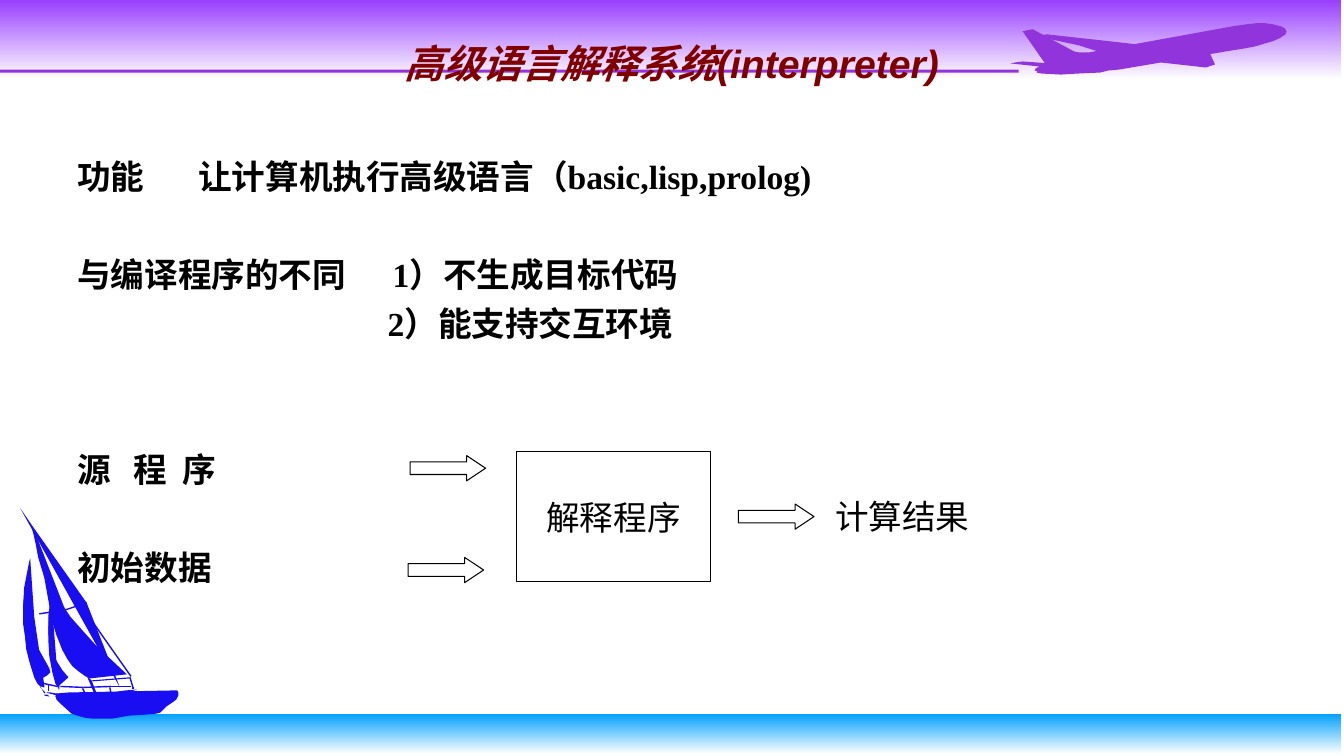
from itertools import pairwise

from lxml import etree
from pptx import Presentation
from pptx import util as u
from pptx.dml.color import RGBColor
from pptx.enum import shapes, text
from pptx.oxml.ns import qn

PURPLE, BLUE, BLACK, WHITE = "9234DB", "190EF2", "000000", "FFFFFF"

# Outlines are x,y pairs in hundredths of an inch from the drawing's corner.
PLANE = [
    "15,31 25,29 66,51 71,52 76,52 81,52 224,26 231,25 238,24 247,23 256,23 263,24 271,26 "
    "275,28 277,31 276,34 270,38 263,41 256,43 246,46 236,48 223,50 111,69 100,70 92,72 70,73 "
    "53,74 34,73 29,72 30,71 27,70 28,68 33,65 38,64",
    "152,62 197,67 206,64 201,53",
    "57,64 54,65 50,66 46,67 35,67 31,66 3,63 8,62 15,61",
    "147,46 39,34 29,36 71,45 96,53",
]
HULL = [
    "56,188 68,187 170,185 176,185 177,187 177,190 175,194 171,197 165,201 161,205 159,207 "
    "155,208 144,209 128,210 111,213 103,213 92,213 84,212 77,210 71,208 60,198 56,194 55,189",
    "97,203 91,202 74,202 66,200 59,196 55,191 57,189 65,188 87,187 111,187 124,185 136,184 "
    "119,190 110,193 96,194 83,196 69,192 68,195 75,199 87,201 99,202",
    "40,181 44,188 45,187 40,182",
    "47,189 49,191 44,190 44,189",
    "46,187 50,187 62,189 61,191 49,188",
]
SAILS = [
    "52,101 52,105 56,156 53,152 51,142 48,129 48,111 50,95",
    "94,189 86,170 91,175 96,188",
    "119,182 86,98 33,23 20,4",
    "65,104 59,97 54,88 47,73 38,51 34,33 32,25 34,26 64,103",
    "126,169 95,140 86,130 70,112 62,100 57,91 49,76 42,57 36,42 38,53 44,73 52,117 56,130 "
    "62,145 67,154 72,161 78,166 85,171 90,173",
    "68,172 62,165 57,157 53,150 51,141 49,131 48,113 48,135 49,151 52,167 55,178 58,183 59,180",
    "59,180 58,182 58,184 59,184",
    "30,54 29,57 24,83 23,101 25,132 26,144 30,159 34,172 37,178 40,181 44,182 44,180 34,112",
    "24,91 24,99 27,113 31,127 39,145 49,163 50,167 47,170 37,176 33,167 29,155 26,139 23,119 23,101",
    "91,175 128,172 130,173 92,176",
]
RIGGING = [
    "132,182 129,172", "130,171 80,100 33,26", "86,98 65,105 39,109", "109,182 110,187",
    "82,183 84,187", "48,180 48,186", "130,181 110,181 83,182 60,181", "57,181 43,178",
    "132,182 132,184",
]


def paint(color, *targets):
    for target in targets:
        target.solid()
        target.fore_color.rgb = RGBColor.from_string(color)


def write(frame, lines, size=24, font="Times New Roman", color=BLACK, bold=False, italic=False,
          align=text.PP_ALIGN.CENTER, anchor=text.MSO_ANCHOR.MIDDLE, wrap=True):
    """Each line is (wording, points before, tab stops in inches)."""
    frame.word_wrap = wrap
    frame.vertical_anchor = anchor
    for number, (wording, before, stops) in enumerate(lines):
        para = frame.add_paragraph() if number else frame.paragraphs[0]
        para.alignment = align
        para.space_before = u.Pt(before)
        if stops:
            tabs = etree.SubElement(para._p.get_or_add_pPr(), qn("a:tabLst"))
            for stop in stops:
                etree.SubElement(tabs, qn("a:tab"), pos=str(u.Inches(stop)), algn="l")
        span = para.add_run()
        span.text = wording
        span.font.size, span.font.name = u.Pt(size), font
        span.font.bold, span.font.italic = bold, italic
        span.font.color.rgb = RGBColor.from_string(color)


def add_text(page, box, lines, **style):
    write(page.shapes.add_textbox(*map(u.Inches, box)).text_frame, lines, **style)


def add_block(page, box, fill, line=None, kind=shapes.MSO_SHAPE.RECTANGLE):
    block = page.shapes.add_shape(kind, *map(u.Inches, box))
    block.shadow.inherit = False
    paint(fill, block.fill)
    if line:
        paint(line, block.line.fill)
        block.line.width = u.Pt(0.75)
    else:
        block.line.fill.background()
    return block


def add_fade(page, box, color):
    """Band that fades downwards to white."""
    band = add_block(page, box, color)
    band.fill.gradient()
    band.fill.gradient_angle = 270
    for stop, shade in zip(band.fill.gradient_stops, (color, WHITE)):
        stop.color.rgb = RGBColor.from_string(shade)


def points(outline):
    return [tuple(map(int, pair.split(","))) for pair in outline.split()]


def draw_outlines(page, left, top, outlines, color):
    for outline in outlines:
        start, *rest = points(outline)
        builder = page.shapes.build_freeform(*start, scale=u.Inches(0.01))
        builder.add_line_segments(rest, close=True)
        part = builder.convert_to_shape(u.Inches(left), u.Inches(top))
        part.shadow.inherit = False
        paint(color, part.fill)
        part.line.fill.background()


def draw_rigging(page, left, top):
    for rope in RIGGING:
        for ends in pairwise(points(rope)):
            (x1, y1), (x2, y2) = [(left + x / 100, top + y / 100) for x, y in ends]
            line = page.shapes.add_connector(
                shapes.MSO_CONNECTOR.STRAIGHT, *map(u.Inches, (x1, y1, x2, y2)))
            etree.SubElement(line._element.spPr, qn("a:effectLst"))
            paint(BLUE, line.line.fill)
            line.line.width = u.Pt(1)


def header(page, left, top, width, height):
    add_fade(page, (left, top, width, height), "993FFF")
    add_block(page, (left, top + 0.69, 10.11, 0.03), PURPLE)
    draw_outlines(page, left + 10, top, PLANE, PURPLE)


def sea(page, left, top, width, height):
    add_fade(page, (left, top, width, height), "009FFF")
    draw_outlines(page, left, top - 2.08, HULL + SAILS, BLUE)
    draw_rigging(page, left, top - 2.08)


def interpreter_flow(page, left, top):
    program = add_block(page, (left + 1.08, top, 1.92, 1.29), WHITE, BLACK)
    write(program.text_frame, [("解释程序", 0, ())], wrap=False)
    result = add_block(page, (left + 4.28, top + 0.43, 1.25, 0.42), WHITE, WHITE)
    write(result.text_frame, [("计算结果", 0, ())], wrap=False)
    for x, y in ((0.02, 0.04), (0, 1.05), (3.28, 0.52)):
        arrow = add_block(page, (left + x, top + y, 0.75, 0.25), WHITE, BLACK,
                          shapes.MSO_SHAPE.RIGHT_ARROW)
        arrow.adjustments[0], arrow.adjustments[1] = 0.5, 0.75


def main():
    deck = Presentation()
    deck.slide_width, deck.slide_height = u.Inches(13.34), u.Inches(7.5)
    page = deck.slides.add_slide(deck.slide_layouts[6])
    header(page, 0, 0, 13.31, 0.79)
    sea(page, 0, 7.08, 13.31, 0.4)
    add_text(page, (1, 0, 11.33, 1.25), [("高级语言解释系统(interpreter)", 0, ())],
             size=28, font="Arial", color="800000", bold=True, italic=True)
    add_text(page, (0.67, 1.5, 11.33, 4.5), [
        ("功能\t让计算机执行高级语言（basic,lisp,prolog)", 6, (1.2,)),
        ("与编译程序的不同\t1）不生成目标代码", 41, (3.13,)),
        ("\t2）能支持交互环境", 6, (3.08,)),
        ("源\t程\t序", 76, (0.56, 1.04)),
        ("初始数据", 41, ()),
    ], bold=True, align=text.PP_ALIGN.LEFT, anchor=text.MSO_ANCHOR.TOP)
    interpreter_flow(page, 4.05, 4.48)
    deck.save("out.pptx")


if __name__ == "__main__":
    main()
